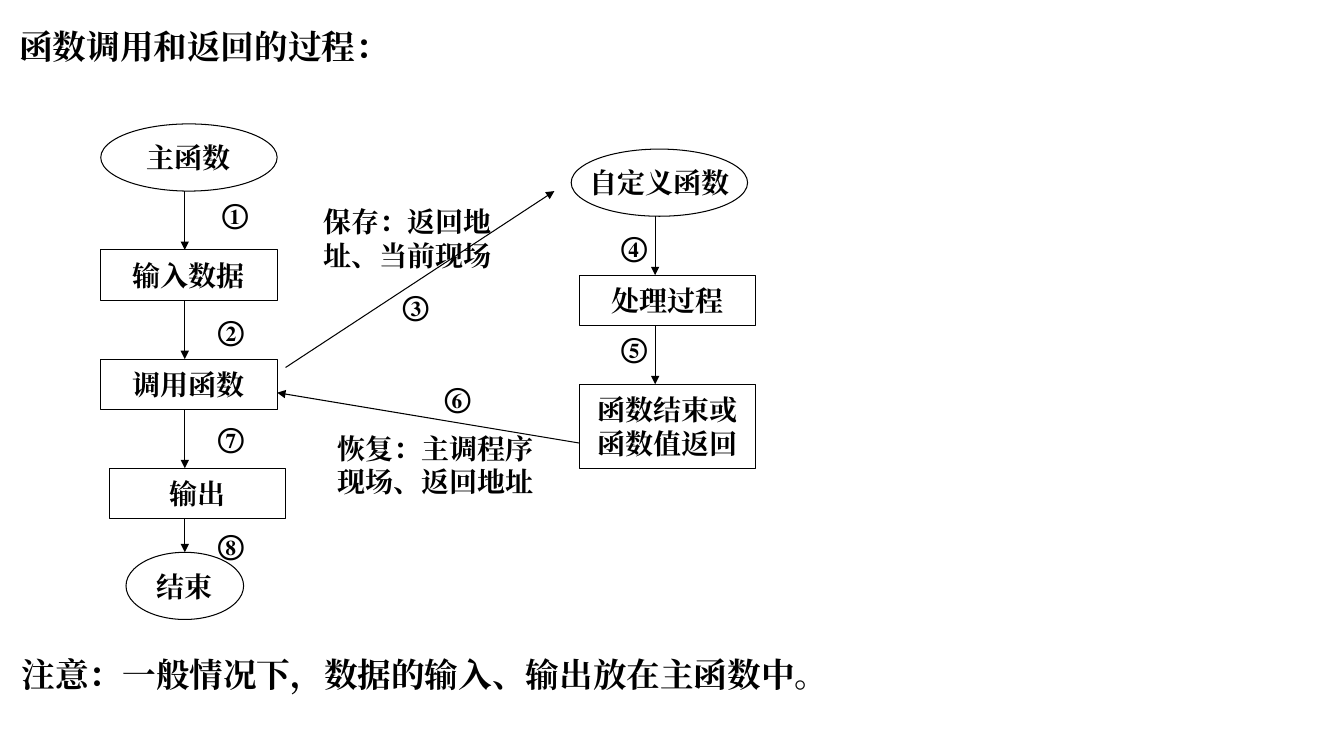
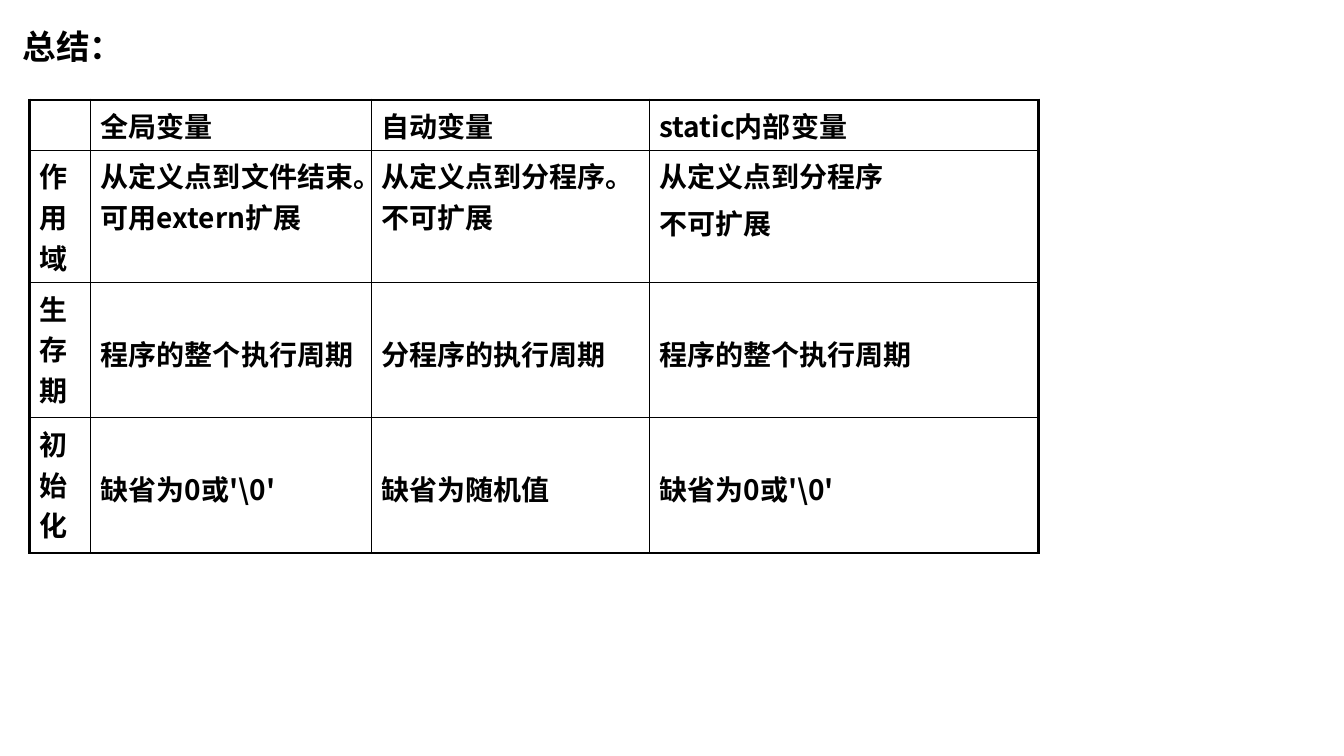
from dataclasses import dataclass

from lxml import etree
from pptx import Presentation
from pptx import util as u
from pptx.dml.color import RGBColor
from pptx.enum import shapes, text
from pptx.oxml import ns


@dataclass(frozen=True)
class Theme:
    ink: str = "000000"
    paper: str = "FFFFFF"
    serif: str = "Times New Roman"
    sans: str = "Noto Sans CJK SC"
    title: int = 24
    body: int = 20
    line: float = 0.75
    inner: float = 1
    outer: float = 2.25


T = Theme()
INK = RGBColor.from_string(T.ink)
PAPER = RGBColor.from_string(T.paper)
LEFT, CENTER = text.PP_ALIGN.LEFT, text.PP_ALIGN.CENTER

prs = Presentation()
prs.slide_width, prs.slide_height = u.Inches(13.33), u.Inches(7.5)
COLS, ROWS = 160, 90


def grid(*cells):
    steps = (prs.slide_width / COLS, prs.slide_height / ROWS)
    return [round(n * steps[i % 2]) for i, n in enumerate(cells)]


def write(tf, content, size=T.body, font=T.serif, align=LEFT, before=0):
    for i, line in enumerate(content.split("\n")):
        p = tf.add_paragraph() if i else tf.paragraphs[0]
        p.alignment = align
        p.space_before = u.Pt(before)
        r = p.add_run()
        r.text = line
        r.font.size, r.font.bold, r.font.name = u.Pt(size), True, font
        r.font.color.rgb = INK
        etree.SubElement(r.font._element, ns.qn("a:ea"), typeface=font)


flow, summary = [prs.slides.add_slide(prs.slide_layouts[6]) for _ in range(2)]

TOP = 14.75
MAIN, CALLED = 22, 78
OVAL, RECT = shapes.MSO_SHAPE.OVAL, shapes.MSO_SHAPE.RECTANGLE

nodes = [
    (OVAL, 12, 0, 21, 8, "主函数"),
    (RECT, 12, 15, 21, 6, "输入数据"),
    (RECT, 12, 28, 21, 6, "调用函数"),
    (RECT, 13, 41, 21, 6, "输出"),
    (OVAL, 15, 51, 14, 8, "结束"),
    (OVAL, 68, 3, 21, 8, "自定义函数"),
    (RECT, 69, 18, 21, 6, "处理过程"),
    (RECT, 69, 31, 21, 10, "函数结束或\n函数值返回"),
]
for kind, x, y, w, h, label in nodes:
    sp = flow.shapes.add_shape(kind, *grid(x, TOP + y, w, h))
    sp.shadow.inherit = False
    sp.fill.background()
    sp.line.color.rgb = INK
    sp.line.width = u.Pt(T.line)
    sp.text_frame.word_wrap = False
    sp.text_frame.vertical_anchor = text.MSO_ANCHOR.MIDDLE
    write(sp.text_frame, label, align=CENTER)

arrows = [(34, 29, 66, 8), (69, 38, 33, 32)]
for x, chain in ((MAIN, nodes[:5]), (CALLED, nodes[5:])):
    for upper, lower in zip(chain, chain[1:]):
        arrows.append((x, upper[2] + upper[4], x, lower[2]))
for x1, y1, x2, y2 in arrows:
    ends = grid(x1, TOP + y1, x2, TOP + y2)
    cx = flow.shapes.add_connector(shapes.MSO_CONNECTOR.STRAIGHT, *ends)
    cx.line.color.rgb = INK
    cx.line.width = u.Pt(T.line)
    etree.SubElement(cx.line._get_or_add_ln(), ns.qn("a:tailEnd"), type="triangle")
    etree.SubElement(cx._element.spPr, ns.qn("a:effectLst"))

heading = dict(size=T.title)
centered = dict(align=CENTER)
texts = [
    (flow, 1.1, 2.5, 70, 6, "函数调用和返回的过程：", heading),
    (flow, 1.4, 77.2, 107, 6, "注意：一般情况下，数据的输入、输出放在主函数中。", heading),
    (summary, 1.5, 2.5, 70, 6, "总结：", dict(heading, font=T.sans)),
    (flow, 37, TOP + 9, 23, 9.25, "保存：返回地址、当前现场", centered),
    (flow, 39, TOP + 36, 26, 9.25, "恢复：主调程序现场、返回地址", {}),
]
steps = [(22.5, 8), (22, 22), (44, 19), (70, 12),
         (70, 24), (49, 30), (22, 34.75), (22, 47.5)]
for mark, (x, y) in zip("①②③④⑤⑥⑦⑧", steps):
    texts.append((flow, x, TOP + y, 11, 5.25, mark, centered))
for s, x, y, w, h, content, style in texts:
    tf = s.shapes.add_textbox(*grid(x, y, w, h)).text_frame
    tf.word_wrap = True
    write(tf, content, **style)

rows = [
    ("", "全局变量", "自动变量", "static内部变量"),
    ("作用域", "从定义点到文件结束。可用extern扩展",
     "从定义点到分程序。不可扩展", "从定义点到分程序\n不可扩展"),
    ("生存期", "程序的整个执行周期", "分程序的执行周期", "程序的整个执行周期"),
    ("初始化", "缺省为0或'\\0'", "缺省为随机值", "缺省为0或'\\0'"),
]
widths = (7.3, 33.4, 33.1, 46.3)
heights = (6, 15.75, 16.1, 16.1)
frame = grid(3.5, 11.9, sum(widths), sum(heights))
tbl = summary.shapes.add_table(len(rows), len(widths), *frame).table
tbl.first_row = tbl.horz_banding = False
for col, w in zip(tbl.columns, widths):
    col.width = grid(w)[0]
for row, h in zip(tbl.rows, heights):
    row.height = grid(0, h)[1]

for i, row in enumerate(rows):
    for j, content in enumerate(row):
        cell = tbl.cell(i, j)
        edges = {"L": j == 0, "R": j == len(widths) - 1,
                 "T": i == 0, "B": i == len(rows) - 1}
        for side, outside in edges.items():
            width = u.Pt(T.outer if outside else T.inner)
            ln = etree.SubElement(cell._tc.get_or_add_tcPr(),
                                  ns.qn("a:ln" + side), w=str(width))
            fill = etree.SubElement(ln, ns.qn("a:solidFill"))
            etree.SubElement(fill, ns.qn("a:srgbClr"), val=T.ink)
        cell.fill.solid()
        cell.fill.fore_color.rgb = PAPER
        if i > 1 and j:
            cell.margin_top = grid(0, 6)[1]
        if content:
            write(cell.text_frame, content, font=T.sans, before=T.body * 0.2)

prs.save("out.pptx")
